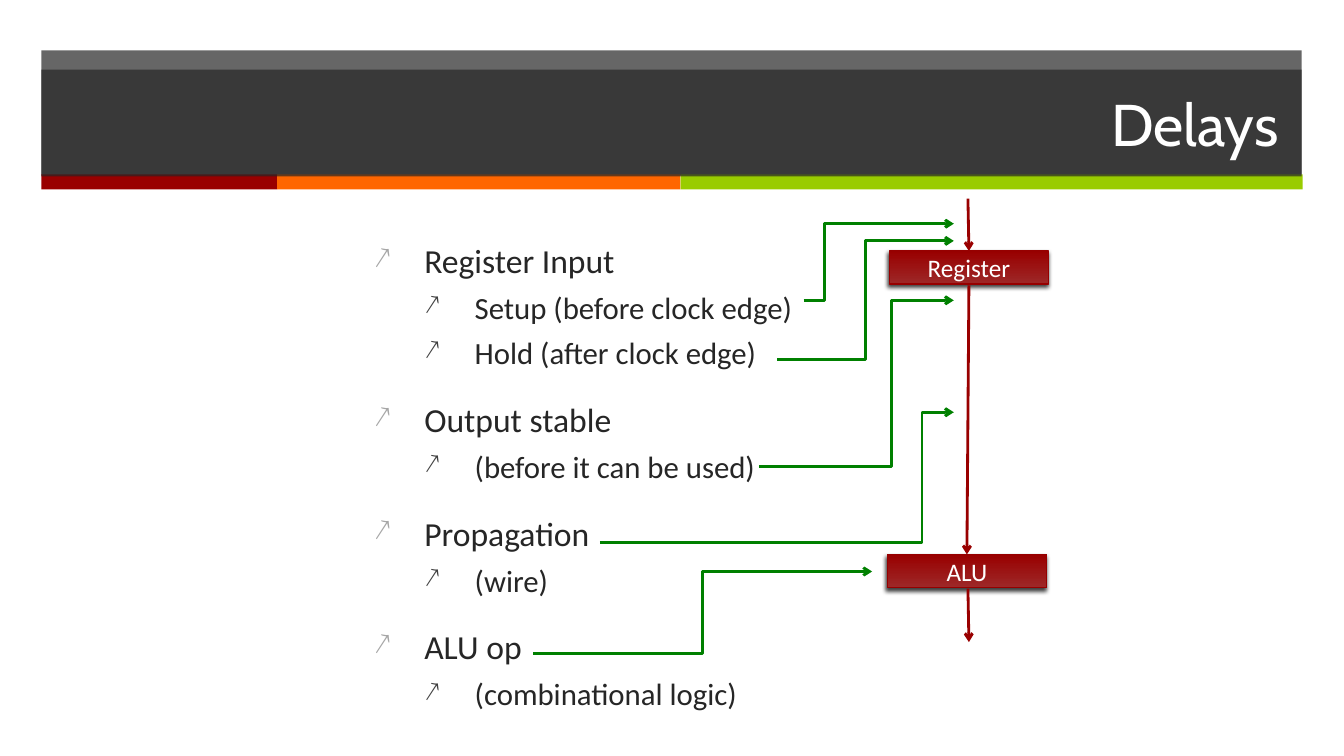
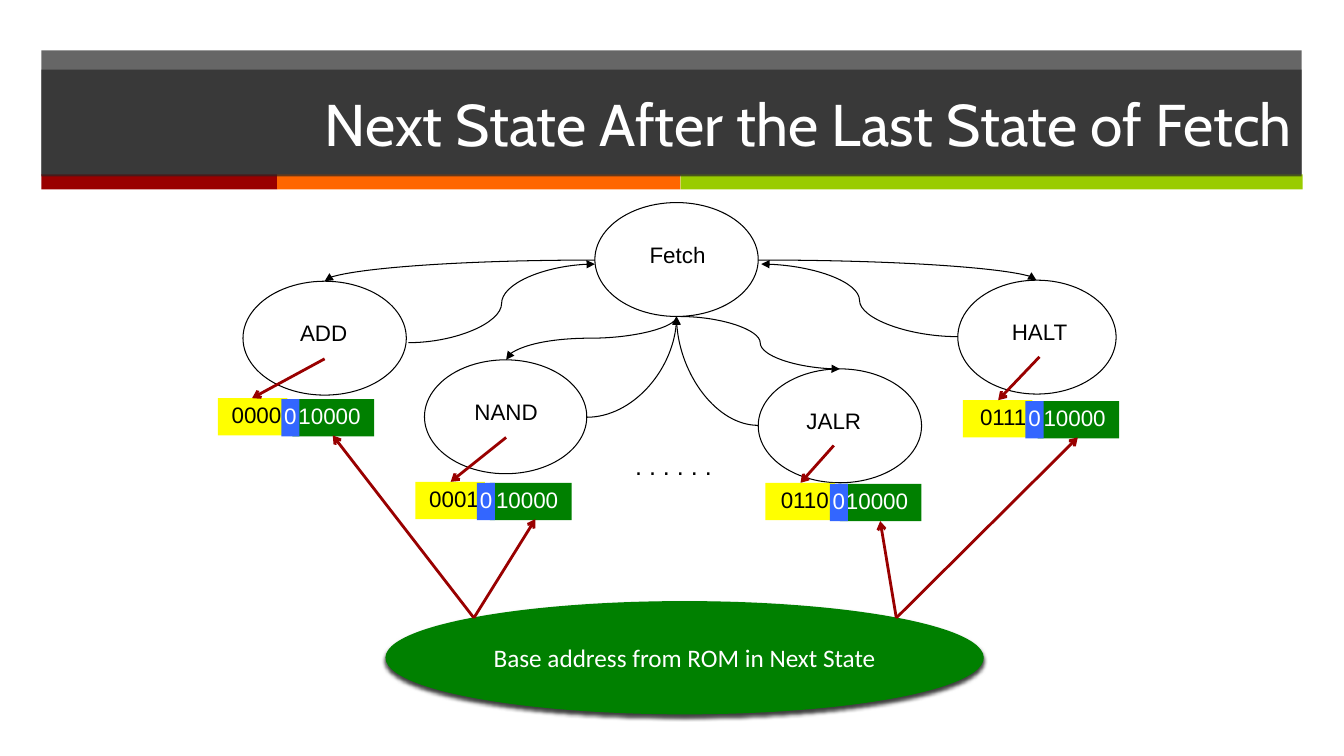
from lxml.etree import SubElement as Sub
from pptx import Presentation
from pptx.dml.color import RGBColor as RGB
from pptx.enum.shapes import MSO_CONNECTOR as Conn, MSO_SHAPE as Geo
from pptx.enum.text import MSO_ANCHOR as Anchor, PP_ALIGN as Align
from pptx.oxml.ns import qn
from pptx.util import Inches, Pt

BLACK = RGB(0x00, 0x00, 0x00)
WHITE = RGB(0xFF, 0xFF, 0xFF)
DARK = RGB(0x26, 0x26, 0x26)
SLATE = RGB(0x40, 0x40, 0x40)
SILVER = RGB(0xA6, 0xA6, 0xA6)
RED = RGB(0x99, 0x00, 0x00)
ROSE = RGB(0x9D, 0x28, 0x28)
BRICK = RGB(0x96, 0x00, 0x00)
ORANGE = RGB(0xFF, 0x66, 0x00)
LIME = RGB(0x99, 0xCC, 0x00)
GREEN = RGB(0x00, 0x80, 0x00)
YELLOW = RGB(0xFF, 0xFF, 0x00)
BLUE = RGB(0x33, 0x66, 0xFF)

SLIM = (0.06, 0.03)
WIDE = (0.1, 0.05)


def write(para, text, size=18, font="Calibri", color=WHITE, align=Align.CENTER, gap=0):
    para.alignment = align
    para.space_before = Pt(gap)
    run = para.add_run()
    run.text = text
    run.font.size = Pt(size)
    run.font.name = font
    run.font.color.rgb = color


class Deck:
    """Holds the shared style and the current slide."""

    def __init__(self):
        self.show = Presentation()
        self.show.slide_width = Inches(13.33)
        self.show.slide_height = Inches(7.5)

    def start(self, title):
        self.slide = self.show.slides.add_slide(self.show.slide_layouts[6])
        self.shape(0.41, 0.5, 12.5, 1.24, fill=DARK, alpha=70)
        for x, wide, color in ((0.41, 2.34, RED), (2.75, 4, ORANGE), (6.75, 6.17, LIME)):
            self.shape(x, 1.73, wide, 0.15, fill=color)
        band = self.shape(0.41, 0.69, 12.5, 1.06, fill=DARK, alpha=70)
        para = self.frame(band, anchor=Anchor.MIDDLE)
        write(para, title, size=42, font="Cabin", align=Align.RIGHT)

    def frame(self, shape, pad=WIDE, anchor=Anchor.TOP):
        frame = shape.text_frame
        frame.word_wrap = True
        frame.vertical_anchor = anchor
        frame.margin_left = frame.margin_right = Inches(pad[0])
        frame.margin_top = frame.margin_bottom = Inches(pad[1])
        return frame.paragraphs[0]

    def shape(self, x, y, wide, high, geo=Geo.RECTANGLE, fill=None, alpha=None,
              line=None, width=1):
        shape = self.slide.shapes.add_shape(
            geo, Inches(x), Inches(y), Inches(wide), Inches(high))
        shape.shadow.inherit = False
        if fill is None:
            shape.fill.background()
        else:
            shape.fill.solid()
            shape.fill.fore_color.rgb = fill
        if alpha:
            color = shape._element.spPr.find(qn("a:solidFill"))[0]
            Sub(color, qn("a:alpha"), val=str(alpha * 1000))
        if line is None:
            shape.line.fill.background()
        else:
            shape.line.color.rgb = line
            shape.line.width = Pt(width)
        return shape

    def shade(self, shape):
        effect = shape._element.spPr.find(qn("a:effectLst"))
        outer = Sub(effect, qn("a:outerShdw"), blurRad=str(Pt(3)), dist=str(Pt(2)),
                    dir=str(110 * 60000), rotWithShape="0")
        color = Sub(outer, qn("a:srgbClr"), val=str(BLACK))
        Sub(color, qn("a:alpha"), val="75000")

    def label(self, x, y, wide, high, text, pad=WIDE, **form):
        box = self.slide.shapes.add_textbox(
            Inches(x), Inches(y), Inches(wide), Inches(high))
        write(self.frame(box, pad), text, **form)

    def list(self, x, y, wide, high, items):
        box = self.slide.shapes.add_textbox(
            Inches(x), Inches(y), Inches(wide), Inches(high))
        first = self.frame(box)
        for rank, (level, text) in enumerate(items):
            para = box.text_frame.add_paragraph() if rank else first
            para.level = level
            props = para._p.get_or_add_pPr()
            props.set("marL", str(Inches(0.5 * (level + 1))))
            props.set("indent", str(Inches(-0.5)))
            tint = Sub(props, qn("a:buClr"))
            Sub(tint, qn("a:srgbClr"), val=str(SLATE if level else SILVER))
            Sub(props, qn("a:buSzPct"), val="90000")
            Sub(props, qn("a:buChar"), char="↗")
            gap = (6 if level else 20) if rank else 0
            write(para, text, size=22 if level else 24, color=DARK,
                  align=Align.LEFT, gap=gap)

    def link(self, start, end, kind=Conn.STRAIGHT, color=RED, width=2, head="arrow"):
        ends = [Inches(n) for n in (*start, *end)]
        line = self.slide.shapes.add_connector(kind, *ends)
        line.line.color.rgb = color
        line.line.width = Pt(width)
        Sub(line.line._get_or_add_ln(), qn("a:tailEnd"), type=head)
        Sub(line._element.spPr, qn("a:effectLst"))
        return line

    def bend(self, start, end, ratio):
        line = self.link(start, end, kind=Conn.ELBOW, color=GREEN)
        marks = line._element.spPr.find(qn("a:prstGeom")).find(qn("a:avLst"))
        Sub(marks, qn("a:gd"), name="adj1", fmla=f"val {round(ratio * 100000)}")

    def curve(self, start, end, hook=False):
        line = self.link(start, end, kind=Conn.CURVE, color=BLACK, width=0.75,
                         head="triangle")
        if hook:
            line._element.spPr.find(qn("a:prstGeom")).set("prst", "curvedConnector2")
        return line

    def drop(self, start, end):
        mid = [(a + b) / 2 for a, b in zip(start, end)]
        wide, high = end[1] - start[1], start[0] - end[0]
        line = self.curve((mid[0] - wide / 2, mid[1] - high / 2),
                          (mid[0] + wide / 2, mid[1] + high / 2))
        line._element.spPr.find(qn("a:xfrm")).set("rot", str(90 * 60000))

    def block(self, x, y, text):
        shape = self.shape(x, y, 1.58, 0.33, fill=RED, line=BRICK)
        shape.fill.gradient()
        shape.fill.gradient_angle = 90
        for stop, color, place in zip(shape.fill.gradient_stops, (ROSE, RED), (0, 1)):
            stop.color.rgb = color
            stop.position = place
        self.shade(shape)
        write(self.frame(shape, anchor=Anchor.MIDDLE), text)

    def state(self, x, y, wide, text, mid):
        self.shape(x, y, wide, 1.13, geo=Geo.OVAL, line=BLACK, width=0.75)
        self.label(mid - 0.47, y + 0.35, 0.94, 0.42, text, pad=SLIM,
                   size=16, font="Arial", color=BLACK)

    def code(self, x, y, bits, shift):
        parts = ((0, 0, 0.69, YELLOW, bits, BLACK, Align.RIGHT, SLIM),
                 (0.74, 0.01, 0.81, GREEN, "10000", WHITE, Align.LEFT, SLIM),
                 (shift, 0.01, 0.18, BLUE, "0", WHITE, Align.CENTER, (0, 0.03)))
        for right, down, wide, fill, text, color, align, pad in parts:
            cell = self.shape(x + right, y + down, wide, 0.37, fill=fill)
            write(self.frame(cell, pad), text, size=16, font="Arial",
                  color=color, align=align)


def delays(deck):
    deck.start("Delays ")
    deck.list(3.61, 2.33, 4.35, 5.17, (
        (0, "Register Input"),
        (1, "Setup (before clock edge)"),
        (1, "Hold (after clock edge)"),
        (0, "Output stable"),
        (1, "(before it can be used)"),
        (0, "Propagation"),
        (1, "(wire)"),
        (0, "ALU op"),
        (1, "(combinational logic)")))
    deck.block(8.82, 2.49, "Register")
    deck.link((9.6, 1.97), (9.61, 2.49))
    deck.link((9.61, 2.83), (9.59, 5.5))
    deck.block(8.8, 5.5, "ALU")
    for start, end, ratio in (
            ((7.97, 2.98), (9.46, 2.22), 0.14),
            ((7.71, 3.57), (9.46, 2.39), 0.5),
            ((7.53, 4.63), (9.46, 2.98), 0.68),
            ((5.95, 5.38), (9.46, 4.09), 0.91),
            ((5.29, 6.48), (8.65, 5.67), 0.5)):
        deck.bend(start, end, ratio)
    deck.link((9.6, 5.84), (9.61, 6.37))


def fetch(deck):
    deck.start("Next State After the Last State of Fetch")
    for node in ((5.9, 2.01, 1.62, "Fetch", 6.72),
                 (2.41, 2.79, 1.62, "ADD", 3.21),
                 (4.21, 3.57, 1.61, "NAND", 5.02),
                 (7.52, 3.66, 1.62, "JALR", 8.27),
                 (9.5, 2.78, 1.57, "HALT", 10.31)):
        deck.state(*node)
    for start, end, hook in (
            ((4.05, 3.4), (5.9, 2.62), False),
            ((5.9, 2.58), (3.22, 2.79), True),
            ((5.82, 4.14), (6.71, 3.14), True),
            ((7.52, 2.58), (10.28, 2.78), True),
            ((9.5, 3.34), (7.55, 2.62), False),
            ((6.75, 3.14), (8.33, 3.66), False),
            ((7.52, 4.22), (6.71, 3.14), True)):
        deck.curve(start, end, hook)
    deck.drop((6.71, 3.14), (5.02, 3.57))
    for cells in ((2.16, 3.95, "0000", 0.63),
                  (4.12, 4.78, "0001", 0.61),
                  (7.59, 4.79, "0110", 0.64),
                  (9.55, 3.97, "0111", 0.62)):
        deck.code(*cells)
    deck.label(6.2, 4.42, 1.15, 0.4, ". . . . . .", font="Arial", color=BLACK,
               align=Align.LEFT)
    base = deck.shape(3.83, 5.97, 5.92, 1.11, geo=Geo.OVAL, fill=GREEN, line=GREEN)
    deck.shade(base)
    write(deck.frame(base, anchor=Anchor.MIDDLE), "Base address from ROM in Next State")
    left, right = (4.7, 6.13), (8.89, 6.13)
    for start, end in (
            ((3.22, 3.56), (2.5, 3.95)),
            ((5.02, 4.34), (4.47, 4.78)),
            ((8.27, 4.42), (7.94, 4.79)),
            ((10.31, 3.54), (9.9, 3.97)),
            (left, (3.3, 4.32)),
            (left, (5.31, 5.15)),
            (right, (8.73, 5.17)),
            (right, (10.69, 4.34))):
        deck.link(start, end)


def main():
    deck = Deck()
    delays(deck)
    fetch(deck)
    deck.show.save("out.pptx")


if __name__ == "__main__":
    main()
